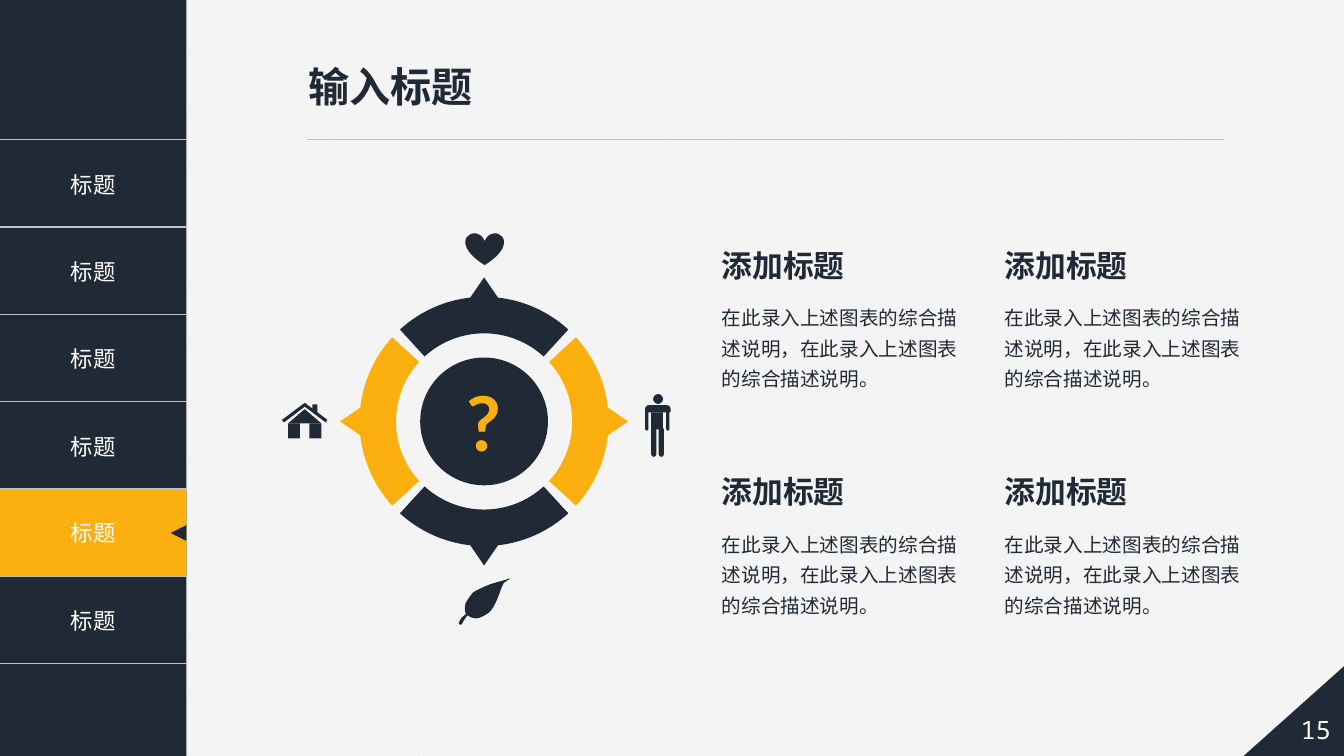
"""Builds a slide with a side menu, a four-part wheel with icons and four text blocks."""
from math import cos, sin, tan, radians
from lxml.etree import SubElement
from pptx import Presentation
from pptx.dml.color import RGBColor
from pptx.enum.dml import MSO_PATTERN
from pptx.enum.shapes import MSO_CONNECTOR, MSO_SHAPE
from pptx.enum.text import MSO_ANCHOR, MSO_AUTO_SIZE, PP_ALIGN
from pptx.oxml.ns import qn
from pptx.util import Cm, Pt

NAVY, AMBER, WHITE, GREY, PALE = "202A36", "FCB00F", "FFFFFF", "BFBFBF", "F2F2F2"
CJK = "Noto Sans CJK SC"
MENU = ["标题", "标题", "标题", "标题", "", "标题"]
ACTIVE_LABEL, ACTIVE_ROW = "标题", 4
TITLE, PAGE_NUMBER, HUB_TEXT = "输入标题", "15", "?"
BODY = "在此录入上述图表的综合描述说明，在此录入上述图表的综合描述说明。"
BLOCKS = [("添加标题", BODY)] * 4

SLIDE_WIDTH, SLIDE_HEIGHT = 33.87, 19.05
MENU_WIDTH, MENU_TOP, ROW_HEIGHT = 4.7, 3.52, 2.2
BLOCK_LEFT, BLOCK_TOP, BLOCK_PITCH_X, BLOCK_PITCH_Y = 17.94, 6.08, 7.13, 5.71
CENTER_X, CENTER_Y, HUB_RADIUS = 12.2, 10.62, 1.61
INNER, OUTER, TIP, TIP_HALF, HALF_ANGLE = 2.22, 3.14, 3.63, 0.35, 42.5
SEGMENTS = [(0, AMBER), (180, AMBER), (90, NAVY), (270, NAVY)]

ROUND_TOP = MSO_SHAPE.ROUND_2_SAME_RECTANGLE
HEART = [(MSO_SHAPE.HEART, 11.73, 5.87, 0.97, 0.81, 0, [])]
PERSON = [
    (MSO_SHAPE.OVAL, 16.46, 9.93, 0.25, 0.25, 0, []),
    (ROUND_TOP, 16.26, 10.21, 0.64, 0.18, 0, [0.5, 0]),
    (MSO_SHAPE.RECTANGLE, 16.41, 10.39, 0.3, 0.43, 0, []),
    (ROUND_TOP, 16.41, 10.8, 0.13, 0.71, 180, [0.5, 0]),
    (ROUND_TOP, 16.6, 10.8, 0.13, 0.71, 180, [0.5, 0]),
    (ROUND_TOP, 16.26, 10.34, 0.08, 0.51, 180, [0.5, 0]),
    (ROUND_TOP, 16.79, 10.34, 0.08, 0.51, 180, [0.5, 0]),
]
HOUSE = [
    (MSO_SHAPE.RECTANGLE, 7.06, 10.36, 0.71, 0.08, 323, []),
    (MSO_SHAPE.RECTANGLE, 7.59, 10.36, 0.71, 0.08, 37, []),
    (MSO_SHAPE.ISOSCELES_TRIANGLE, 7.26, 10.31, 0.84, 0.36, 0, []),
    (MSO_SHAPE.RECTANGLE, 7.26, 10.67, 0.3, 0.38, 0, []),
    (MSO_SHAPE.RECTANGLE, 7.8, 10.67, 0.3, 0.38, 0, []),
    (MSO_SHAPE.SNIP_1_RECTANGLE, 7.87, 10.19, 0.13, 0.25, 180, [0.5]),
]
LEAF = [
    [[(11.73, 15.44)], [(11.71, 15.37), (11.71, 15.34), (11.73, 15.21)],
     [(11.79, 15.09), (11.86, 15.01), (11.91, 14.94)], [(11.99, 14.88), (12.24, 14.76), (12.4, 14.71)],
     [(12.55, 14.66), (12.78, 14.61), (12.83, 14.58)], [(12.88, 14.58), (12.75, 14.63), (12.73, 14.66)],
     [(12.67, 14.68), (12.67, 14.68), (12.65, 14.78)], [(12.6, 14.86), (12.55, 15.06), (12.5, 15.16)],
     [(12.45, 15.27), (12.37, 15.37), (12.29, 15.44)], [(12.24, 15.49), (12.14, 15.54), (12.07, 15.57)],
     [(11.99, 15.6), (11.89, 15.57), (11.84, 15.54)], [(11.79, 15.52), (11.76, 15.49), (11.73, 15.44)]],
    [[(11.84, 15.44)], [(11.81, 15.47), (11.71, 15.6), (11.68, 15.65)],
     [(11.66, 15.7), (11.63, 15.75), (11.61, 15.75)], [(11.61, 15.75), (11.56, 15.72), (11.56, 15.7)],
     [(11.56, 15.67), (11.61, 15.62), (11.63, 15.57)], [(11.68, 15.52), (11.79, 15.44), (11.79, 15.42)],
     [(11.81, 15.42), (11.84, 15.39), (11.84, 15.44)]],
    [[(12.85, 14.58)], [(12.9, 14.58), (12.75, 14.63), (12.73, 14.66)],
     [(12.7, 14.68), (12.7, 14.68), (12.65, 14.78)], [(12.62, 14.86), (12.55, 15.06), (12.5, 15.16)],
     [(12.45, 15.27), (12.4, 15.37), (12.32, 15.44)], [(12.19, 15.52)], [(12.07, 15.57)],
     [(11.96, 15.57)], [(12.19, 14.81)], [(12.29, 14.76)],
     [(12.32, 14.73), (12.37, 14.73), (12.42, 14.71)], [(12.57, 14.66), (12.8, 14.61), (12.85, 14.58)]],
    [[(11.76, 15.42)], [(11.81, 15.37), (11.94, 15.21), (12.01, 15.14)],
     [(12.12, 15.06), (12.24, 14.96), (12.27, 14.96)], [(12.27, 14.96), (12.17, 15.06), (12.09, 15.11)],
     [(12.04, 15.19), (11.96, 15.27), (11.91, 15.34)], [(11.86, 15.39), (11.81, 15.44), (11.79, 15.47)],
     [(11.79, 15.47), (11.73, 15.47), (11.76, 15.42)]],
]


def color(value):
    return RGBColor.from_string(value)


def paint(shape, fill):
    shape.shadow.inherit = False
    shape.fill.solid()
    shape.fill.fore_color.rgb = color(fill)
    shape.line.fill.background()
    return shape


def add_shape(shapes, kind, left, top, width, height, fill, rotation=0, adjustments=()):
    shape = shapes.add_shape(kind, Cm(left), Cm(top), Cm(width), Cm(height))
    shape.rotation = rotation
    for index, value in enumerate(adjustments):
        shape.adjustments[index] = value
    return paint(shape, fill)


def add_outline(shapes, steps, fill):
    points = [(Cm(x), Cm(y)) for step in steps for x, y in step]
    builder = shapes.build_freeform(*points[0])
    builder.add_line_segments(points[1:])
    shape = paint(builder.convert_to_shape(), fill)
    lines = list(shape._element.iter(qn("a:lnTo")))
    for step in steps[1:]:
        parts, lines = lines[:len(step)], lines[len(step):]
        if len(step) == 3:
            curve = SubElement(parts[0].getparent(), qn("a:cubicBezTo"))
            parts[0].addprevious(curve)
            for part in parts:
                curve.append(part[0])
                part.getparent().remove(part)


def write(frame, text, size, font_name, fill, bold=False, align=PP_ALIGN.LEFT, spacing=None):
    paragraph = frame.paragraphs[0]
    paragraph.text, paragraph.alignment = text, align
    if spacing:
        paragraph.line_spacing = spacing
    font = paragraph.font
    font.size, font.bold, font.name = Pt(size), bold, font_name
    font.color.rgb = color(fill)
    SubElement(paragraph._p.pPr.find(qn("a:defRPr")), qn("a:ea"), typeface=CJK)


def add_text(shapes, left, top, width, height, text, size, font_name, fill, wrap=False, **style):
    frame = shapes.add_textbox(Cm(left), Cm(top), Cm(width), Cm(height)).text_frame
    frame.word_wrap, frame.auto_size = wrap, MSO_AUTO_SIZE.SHAPE_TO_FIT_TEXT
    write(frame, text, size, font_name, fill, **style)


def border_cell(cell):
    for side in "LRTB":
        line = SubElement(cell._tc.get_or_add_tcPr(), qn(f"a:ln{side}"), w=str(Pt(1)))
        if side in "LR":
            SubElement(line, qn("a:noFill"))
        else:
            SubElement(SubElement(line, qn("a:solidFill")), qn("a:srgbClr"), val=GREY)
    cell.fill.background()


def add_menu(shapes):
    add_shape(shapes, MSO_SHAPE.RECTANGLE, 0, 0, MENU_WIDTH, SLIDE_HEIGHT, NAVY)
    table = shapes.add_table(len(MENU), 1, 0, Cm(MENU_TOP), Cm(MENU_WIDTH), Cm(ROW_HEIGHT * len(MENU))).table
    table.first_row = table.horz_banding = False
    for row, label in enumerate(MENU):
        cell = table.cell(row, 0)
        cell.vertical_anchor = MSO_ANCHOR.MIDDLE
        write(cell.text_frame, label, 16, CJK, WHITE, align=PP_ALIGN.CENTER)
        border_cell(cell)
    top = MENU_TOP + ACTIVE_ROW * ROW_HEIGHT + 0.02
    active = add_shape(shapes, MSO_SHAPE.RECTANGLE, 0, top, MENU_WIDTH, 2.18, AMBER)
    write(active.text_frame, ACTIVE_LABEL, 16, CJK, WHITE, align=PP_ALIGN.CENTER)
    add_shape(shapes, MSO_SHAPE.ISOSCELES_TRIANGLE, MENU_WIDTH - 0.4, top + 0.89, 0.4, 0.4, NAVY, 270)


def arc(radius, start, end):
    reach = radius * 4 / 3 * tan(radians(end - start) / 4)
    (x1, y1), (x2, y2) = [(cos(radians(a)), sin(radians(a))) for a in (start, end)]
    return [(radius * x1 - reach * y1, radius * y1 + reach * x1),
            (radius * x2 + reach * y2, radius * y2 - reach * x2), (radius * x2, radius * y2)]


def segment_steps(angle):
    corner = (OUTER * cos(radians(HALF_ANGLE)), -OUTER * sin(radians(HALF_ANGLE)))
    base = TIP_HALF / OUTER / radians(1)
    inside = arc(INNER, -HALF_ANGLE, HALF_ANGLE)
    steps = [[corner], arc(OUTER, -HALF_ANGLE, -base), [(TIP, 0)], arc(OUTER, 0, base)[2:],
             arc(OUTER, base, HALF_ANGLE), inside[2:], arc(INNER, HALF_ANGLE, -HALF_ANGLE)]
    turn_x, turn_y = cos(radians(angle)), sin(radians(angle))
    return [[(CENTER_X + x * turn_x - y * turn_y, CENTER_Y + x * turn_y + y * turn_x) for x, y in step]
            for step in steps]


def add_wheel(shapes):
    for angle, fill in SEGMENTS:
        add_outline(shapes, segment_steps(angle), fill)
    for icon in (HEART, PERSON, HOUSE):
        target = shapes.add_group_shape().shapes if len(icon) > 1 else shapes
        for kind, left, top, width, height, rotation, adjustments in icon:
            add_shape(target, kind, left, top, width, height, NAVY, rotation, adjustments)
    leaf = shapes.add_group_shape()
    for steps in LEAF:
        add_outline(leaf.shapes, steps, NAVY)
    hub = add_shape(shapes, MSO_SHAPE.OVAL, CENTER_X - HUB_RADIUS, CENTER_Y - HUB_RADIUS,
                    2 * HUB_RADIUS, 2 * HUB_RADIUS, NAVY)
    write(hub.text_frame, HUB_TEXT, 54, "Lato", AMBER, bold=True, align=PP_ALIGN.CENTER)


presentation = Presentation()
presentation.slide_width, presentation.slide_height = Cm(SLIDE_WIDTH), Cm(SLIDE_HEIGHT)
slide = presentation.slides.add_slide(presentation.slide_layouts[6])
background = slide.background.fill
background.patterned()
background.pattern = MSO_PATTERN.LIGHT_UPWARD_DIAGONAL
background.fore_color.rgb, background.back_color.rgb = color(WHITE), color(PALE)
add_menu(slide.shapes)
rule = slide.shapes.add_connector(MSO_CONNECTOR.STRAIGHT, Cm(7.74), Cm(MENU_TOP), Cm(30.84), Cm(MENU_TOP))
rule.line.color.rgb, rule.line.width = color(GREY), Pt(0.5)
SubElement(rule._element.spPr, qn("a:effectLst"))
corner = add_shape(slide.shapes, MSO_SHAPE.RIGHT_TRIANGLE, 31.32, 16.71, 2.64, 2.36, NAVY)
corner._element.spPr.xfrm.set("flipH", "1")
add_text(slide.shapes, 32.3, 17.87, 1.72, 1, PAGE_NUMBER, 18, "Noto Sans Mono", WHITE, align=PP_ALIGN.CENTER)
add_text(slide.shapes, 7.52, 1.42, 4.65, 1.5, TITLE, 29.4, "Arial", NAVY, bold=True)
add_wheel(slide.shapes)
for index, (heading, body) in enumerate(BLOCKS):
    left = BLOCK_LEFT + index % 2 * BLOCK_PITCH_X
    top = BLOCK_TOP + index // 2 * BLOCK_PITCH_Y
    add_text(slide.shapes, left, top, 3.66, 1.2, heading, 22, CJK, NAVY, bold=True)
    add_text(slide.shapes, left, top + 1.33, 6.7, 2.6, body, 14, CJK, NAVY, wrap=True, spacing=1.3)
presentation.save("out.pptx")
